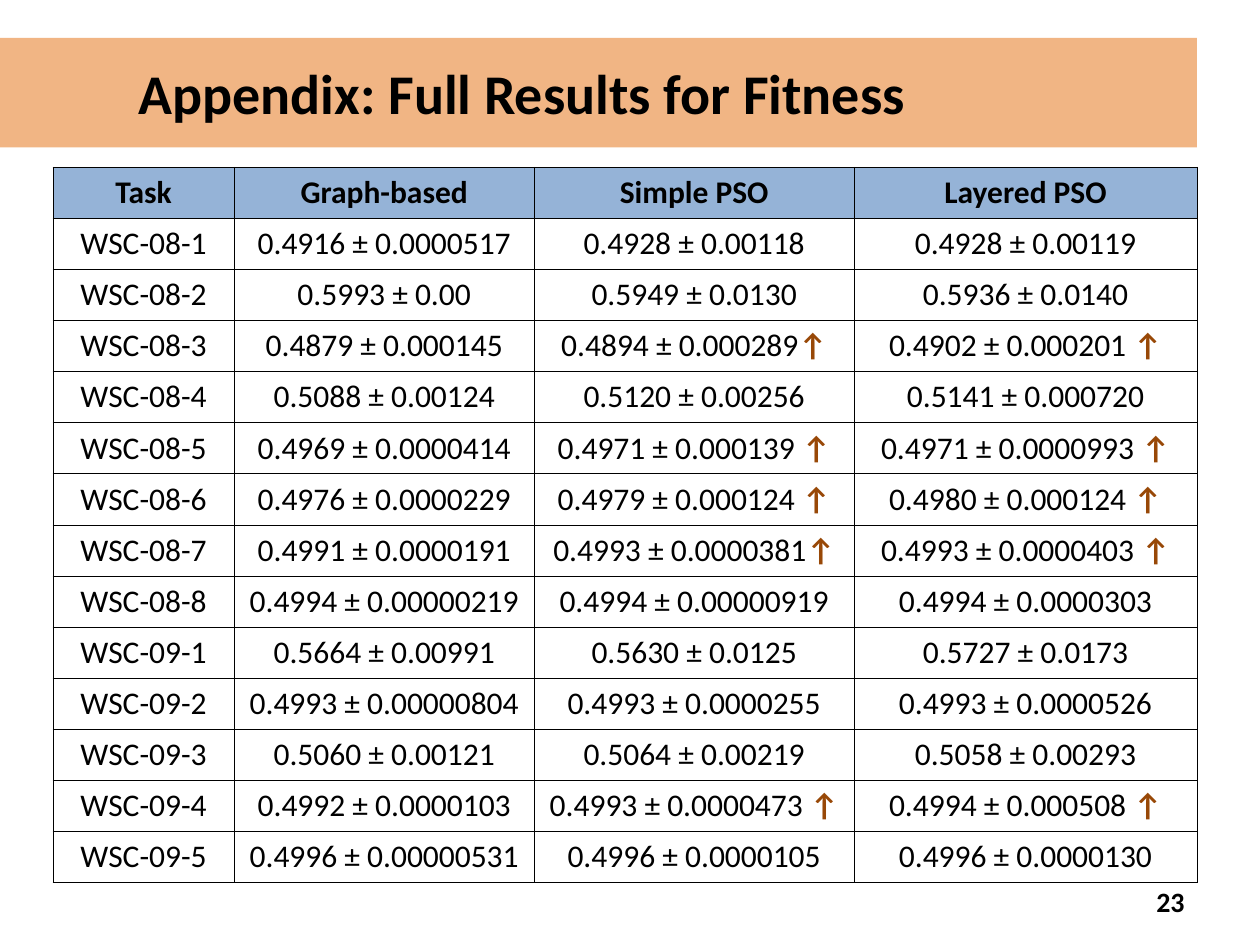
import pptx
import pptx.dml.color
import pptx.enum.shapes
import pptx.enum.text
import pptx.oxml
import pptx.oxml.ns
import pptx.util
from lxml import etree

WIDE, HIGH = pptx.util.Inches(10), pptx.util.Inches(7.5)
HUES = {"band": "E46C0A", "head": "95B3D7", "cell": "FFFFFF", "ink": "000000", "mark": "984807"}
ALIGN = pptx.enum.text.PP_ALIGN
MIDDLE = pptx.enum.text.MSO_ANCHOR.MIDDLE
INSET = {"margin_left": pptx.util.Inches(0.1), "margin_right": pptx.util.Inches(0.1),
         "margin_top": pptx.util.Inches(0.05), "margin_bottom": pptx.util.Inches(0.05)}
COLS = [0.144, 0.238, 0.254, 0.272]
ROWS = [
    ("Task", "Graph-based", "Simple PSO", "Layered PSO"),
    ("WSC-08-1", "0.4916 ± 0.0000517", "0.4928 ± 0.00118", "0.4928 ± 0.00119"),
    ("WSC-08-2", "0.5993 ± 0.00", "0.5949 ± 0.0130", "0.5936 ± 0.0140"),
    ("WSC-08-3", "0.4879 ± 0.000145", "0.4894 ± 0.000289↑", "0.4902 ± 0.000201 ↑"),
    ("WSC-08-4", "0.5088 ± 0.00124", "0.5120 ± 0.00256", "0.5141 ± 0.000720"),
    ("WSC-08-5", "0.4969 ± 0.0000414", "0.4971 ± 0.000139 ↑", "0.4971 ± 0.0000993 ↑"),
    ("WSC-08-6", "0.4976 ± 0.0000229", "0.4979 ± 0.000124 ↑", "0.4980 ± 0.000124 ↑"),
    ("WSC-08-7", "0.4991 ± 0.0000191", "0.4993 ± 0.0000381↑", "0.4993 ± 0.0000403 ↑"),
    ("WSC-08-8", "0.4994 ± 0.00000219", "0.4994 ± 0.00000919", "0.4994 ± 0.0000303"),
    ("WSC-09-1", "0.5664 ± 0.00991", "0.5630 ± 0.0125", "0.5727 ± 0.0173"),
    ("WSC-09-2", "0.4993 ± 0.00000804", "0.4993 ± 0.0000255", "0.4993 ± 0.0000526"),
    ("WSC-09-3", "0.5060 ± 0.00121", "0.5064 ± 0.00219", "0.5058 ± 0.00293"),
    ("WSC-09-4", "0.4992 ± 0.0000103", "0.4993 ± 0.0000473 ↑", "0.4994 ± 0.000508 ↑"),
    ("WSC-09-5", "0.4996 ± 0.00000531", "0.4996 ± 0.0000105", "0.4996 ± 0.0000130"),
]


def style(item, **form):
    for name, value in form.items():
        setattr(item, name, value)


def shares(left, top, width, height):
    return [round(part * full) for part, full in zip((left, top, width, height), (WIDE, HIGH) * 2)]


def color(name):
    return pptx.dml.color.RGBColor.from_string(HUES[name])


def paint(fill, name):
    fill.solid()
    fill.fore_color.rgb = color(name)


def write(frame, text, size, bold, align):
    line = frame.paragraphs[0]
    line.alignment = align
    body, mark, _ = text.partition("↑")
    for part, hue, heavy in ((body, "ink", bold), (mark, "mark", True)):
        if part:
            run = line.add_run()
            run.text = part
            style(run.font, name="Calibri", size=pptx.util.Pt(size), bold=heavy)
            run.font.color.rgb = color(hue)


def add_title(slide, text):
    band = slide.shapes.add_shape(pptx.enum.shapes.MSO_SHAPE.RECTANGLE, *shares(0, 0.04, 0.95, 0.116))
    band.shadow.inherit = False
    band.line.fill.background()
    paint(band.fill, "band")
    tint = band.fill._xPr.find(".//" + pptx.oxml.ns.qn("a:srgbClr"))
    etree.SubElement(tint, pptx.oxml.ns.qn("a:alpha"), val="50000")
    form = {**INSET, "margin_left": round(0.11 * WIDE)}
    style(band.text_frame, word_wrap=True, vertical_anchor=MIDDLE, **form)
    write(band.text_frame, text, 32, True, ALIGN.LEFT)


def add_number(slide, text):
    box = slide.shapes.add_textbox(*shares(0.717, 0.927, 0.233, 0.053))
    style(box.text_frame, word_wrap=True, vertical_anchor=MIDDLE, **INSET)
    write(box.text_frame, text, 16, True, ALIGN.RIGHT)


def edge(cell):
    props = cell._tc.get_or_add_tcPr()
    for side in ("a:lnL", "a:lnR", "a:lnT", "a:lnB"):
        line = etree.SubElement(props, pptx.oxml.ns.qn(side), w=str(pptx.util.Pt(0.45)))
        fill = etree.SubElement(line, pptx.oxml.ns.qn("a:solidFill"))
        etree.SubElement(fill, pptx.oxml.ns.qn("a:srgbClr"), val=HUES["ink"])


def add_grid(slide):
    place = shares(0.042, 0.177, sum(COLS), 0.757)
    table = slide.shapes.add_table(len(ROWS), len(COLS), *place).table
    style(table, first_row=False, horz_banding=False)
    for col, share in zip(table.columns, COLS):
        col.width = round(share * WIDE)
    for row, texts in enumerate(ROWS):
        head = row == 0
        for col, text in enumerate(texts):
            cell = table.cell(row, col)
            style(cell, **INSET)
            edge(cell)
            paint(cell.fill, "head" if head else "cell")
            write(cell.text_frame, text, 18, head, ALIGN.CENTER)


def main():
    deck = pptx.Presentation()
    style(deck, slide_width=WIDE, slide_height=HIGH)
    slide = deck.slides.add_slide(deck.slide_layouts[6])
    add_title(slide, "Appendix: Full Results for Fitness")
    add_number(slide, "23")
    add_grid(slide)
    deck.save("out.pptx")


if __name__ == "__main__":
    main()
